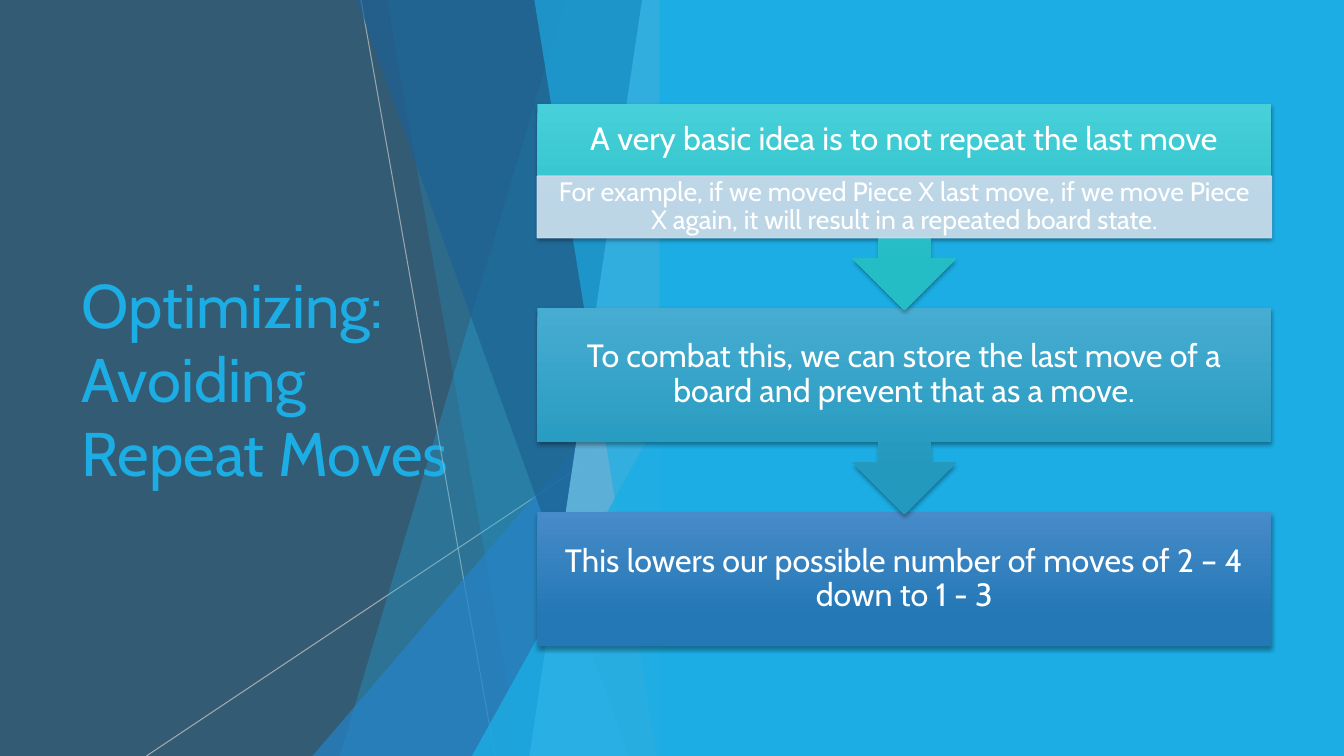
from lxml import etree
from pptx import Presentation
from pptx.dml.color import RGBColor
from pptx.enum import shapes as sh, text as tx
from pptx.oxml import ns
from pptx.util import Inches, Pt

WIDE, HIGH = 13.33, 7.5
FONT = "Cabin"
SLATE = RGBColor(0x33, 0x5B, 0x74)
SKY = RGBColor(0x1C, 0xAD, 0xE4)
BLUE = RGBColor(0x26, 0x83, 0xC6)
NAVY = RGBColor(0x1D, 0x62, 0x94)
PALE = RGBColor(0x77, 0xCE, 0xEF)
GREY = RGBColor(0xBF, 0xBF, 0xBF)
MIST = RGBColor(0xCD, 0xD9, 0xEA)
WHITE = RGBColor(0xFF, 0xFF, 0xFF)
BLACK = RGBColor(0, 0, 0)

SHARDS = [
    (70.5, 7.6, 0, SKY, 30),
    (20.8, 57.9, 0, SKY, 20),
    (100, 0, 44.4, BLUE, 72),
    (12.4, 88.2, 0, NAVY, 70),
    (91.8, 60.4, 0, PALE, 70),
    (61.8, 95.8, 0, SKY, 65),
    (100, 44.4, 52.4, SKY, 80),
]
RAYS = [(13.5, 0, 50.8, 100, 75), (100, 53.7, -46.3, 100, 80)]
STEPS = [
    ("A very basic idea is to not repeat the last move",
     RGBColor(0x47, 0xD0, 0xD9), RGBColor(0x24, 0xBC, 0xC5)),
    ("To combat this, we can store the last move of a board and prevent that as a move.",
     RGBColor(0x47, 0xAC, 0xD1), RGBColor(0x23, 0x99, 0xBD)),
    ("This lowers our possible number of moves of 2 – 4 down to 1 - 3",
     RGBColor(0x47, 0x8B, 0xC9), RGBColor(0x23, 0x78, 0xB5)),
]
NOTE = ("For example, if we moved Piece X last move, if we move Piece X again, "
        "it will result in a repeated board state.")


def node(root, tag, **attrs):
    return etree.SubElement(root, ns.qn(tag), {k: str(v) for k, v in attrs.items()})


def fade(fill, share):
    for clr in fill.iter(ns.qn("a:srgbClr")):
        node(clr, "a:alpha", val=share * 1000)


def paint(shape, color, share=100):
    shape.shadow.inherit = False
    shape.fill.solid()
    shape.fill.fore_color.rgb = color
    shape.line.fill.background()
    if share < 100:
        fade(shape._element.spPr, share)


def shade(shape, top, base):
    shape.line.fill.background()
    shape.fill.gradient()
    shape.fill.gradient_angle = 270
    for stop, color, place in zip(shape.fill.gradient_stops, (top, base), (0, 0.78)):
        stop.color.rgb = color
        stop.position = place
    shape.shadow.inherit = False
    glow = shape._element.spPr.find(ns.qn("a:effectLst"))
    drop = node(glow, "a:outerShdw", blurRad=Pt(3), dist=Pt(2), dir=5400000,
                algn="ctr", rotWithShape=0)
    node(drop, "a:srgbClr", val=BLACK)
    fade(glow, 35)


def write(shape, words, size, side, edge, foot=0):
    frame = shape.text_frame
    frame.word_wrap = True
    frame.vertical_anchor = tx.MSO_ANCHOR.MIDDLE
    frame.margin_left = frame.margin_right = Inches(side)
    frame.margin_top = Inches(edge)
    frame.margin_bottom = Inches(edge + foot)
    frame.text = words
    para = frame.paragraphs[0]
    para.alignment = tx.PP_ALIGN.CENTER
    para.line_spacing = 0.9
    font = para.runs[0].font
    font.name, font.size, font.color.rgb = FONT, Pt(size), WHITE


def title(slide, x, y, w, h):
    head = slide.shapes.title
    head.left, head.top, head.width, head.height = map(Inches, (x, y, w, h))
    frame = head.text_frame
    frame.text = "Optimizing: Avoiding Repeat Moves"
    frame.word_wrap = True
    frame.auto_size = tx.MSO_AUTO_SIZE.NONE
    frame.vertical_anchor = tx.MSO_ANCHOR.MIDDLE
    para = frame.paragraphs[0]
    para.alignment = tx.PP_ALIGN.LEFT
    font = para.runs[0].font
    font.name, font.size, font.color.rgb = FONT, Pt(44), SKY


def facets(slide, x, y, w, h):
    def spot(col, row):
        return Inches(x + w * col / 100), Inches(y + h * row / 100)

    for *ends, share in RAYS:
        ray = slide.shapes.add_connector(
            sh.MSO_CONNECTOR.STRAIGHT, *spot(*ends[:2]), *spot(*ends[2:]))
        ray.line.width = Pt(0.75)
        ray.line.color.rgb = GREY
        fade(ray._element.spPr, share)
        node(ray._element.spPr, "a:effectLst")
    for top, foot, rise, color, share in SHARDS:
        if rise:
            left, peak = spot(foot, rise)
            right, base = spot(100, 100)
            shard = slide.shapes.add_shape(
                sh.MSO_SHAPE.ISOSCELES_TRIANGLE, left, peak, right - left, base - peak)
            shard.adjustments[0] = 1
        else:
            pen = slide.shapes.build_freeform(*spot(top, 0))
            pen.add_line_segments([spot(100, 0), spot(100, 100), spot(foot, 100)])
            shard = pen.convert_to_shape()
        paint(shard, color, share)


def panel(slide, x, y, w, h):
    paint(slide.shapes.add_shape(
        sh.MSO_SHAPE.RECTANGLE, *map(Inches, (x, y, w, h))), SKY)


def flow(slide, x, y, w, h):
    card = h * 0.247
    pitch = (h - card) / (len(STEPS) - 1)
    strip = card * 0.46
    last = len(STEPS) - 1
    for i in range(last, -1, -1):
        words, top, base = STEPS[i]
        kind = sh.MSO_SHAPE.RECTANGLE if i == last else sh.MSO_SHAPE.DOWN_ARROW_CALLOUT
        tall = card if i == last else card / 0.65
        step = slide.shapes.add_shape(
            kind, *map(Inches, (x, y + i * pitch, w, tall)))
        shade(step, top, base)
        write(step, words, 23, 0.18, 0.18, 0 if i else strip)
    note = slide.shapes.add_shape(
        sh.MSO_SHAPE.RECTANGLE, *map(Inches, (x, y + card - strip, w, strip)))
    paint(note, MIST)
    note.line.color.rgb = MIST
    note.line.width = Pt(1)
    fade(note._element.spPr, 90)
    write(note, NOTE, 19, 0.15, 0.03)


def main():
    deck = Presentation()
    deck.slide_width, deck.slide_height = Inches(WIDE), Inches(HIGH)
    slide = deck.slides.add_slide(deck.slide_layouts[5])
    slide.background.fill.solid()
    slide.background.fill.fore_color.rgb = SLATE
    title(slide, 0.71, 1.51, 3.88, 4.48)
    facets(slide, 3.1, 0, 3.56, HIGH)
    panel(slide, 6.54, 0, WIDE - 6.54, HIGH)
    flow(slide, 5.33, 1.03, 7.28, 5.38)
    deck.save("out.pptx")


if __name__ == "__main__":
    main()
